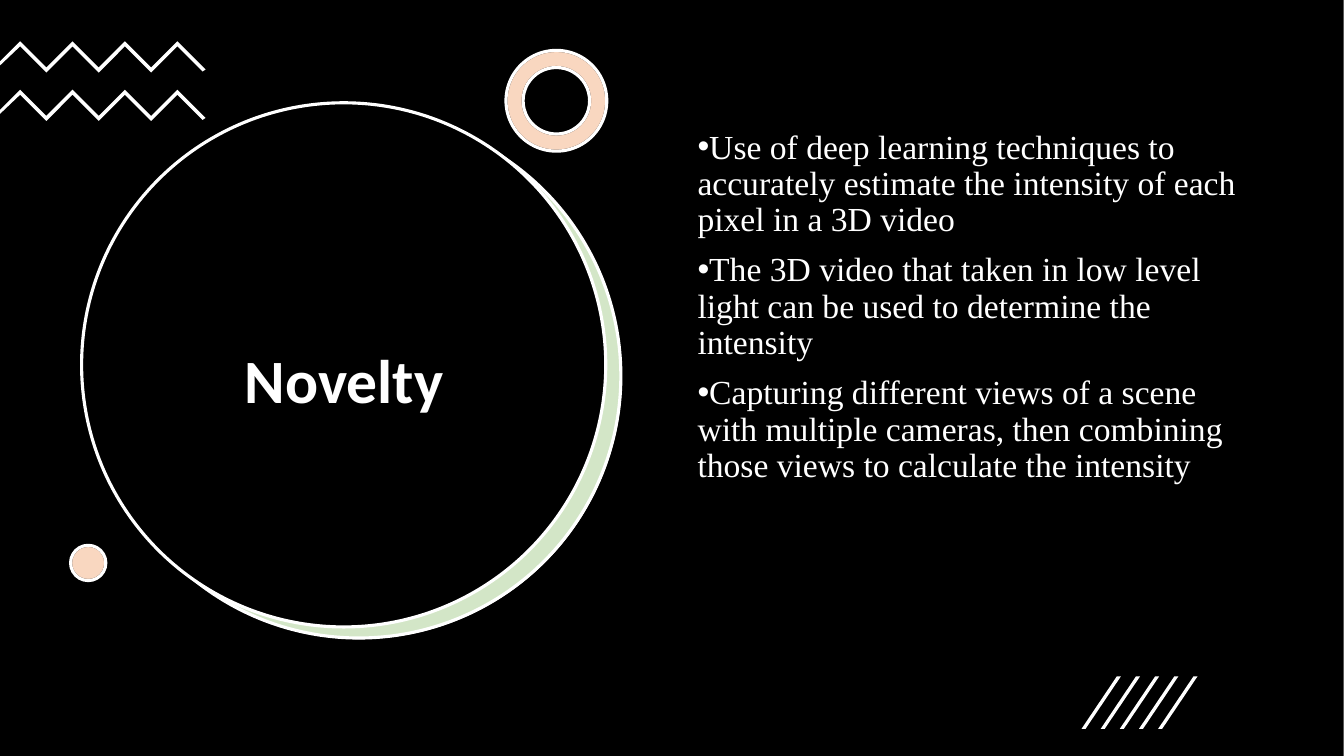
from lxml.etree import SubElement
from pptx import Presentation
from pptx.dml.color import RGBColor
from pptx.enum.shapes import MSO_SHAPE as Preset
from pptx.enum.text import MSO_ANCHOR as Anchor, MSO_AUTO_SIZE as AutoSize, PP_ALIGN as Align
from pptx.oxml.ns import qn
from pptx.util import Emu, Pt

PX = 9144  # 100 px to the inch
WHITE, BLACK, GREEN, ORANGE = "FFFFFF", "000000", "70AD47", "ED7D31"


def px(length):
    return Emu(length * PX)


def color(hex_string):
    return RGBColor.from_string(hex_string)


class NoveltySlide:
    heading_font, body_font = "Calibri", "Times New Roman"
    line_width = Pt(2.25)

    def __init__(self, presentation):
        self.slide = presentation.slides.add_slide(presentation.slide_layouts[0])

    def paint(self, shape, fill, line=None, alpha=None):
        shape.shadow.inherit = False
        shape.fill.solid()
        shape.fill.fore_color.rgb = color(fill)
        if alpha:
            tint = shape.element.spPr.find(qn("a:solidFill"))[0]
            SubElement(tint, qn("a:alpha"), val=str(alpha * 1000))
        if line:
            shape.line.color.rgb = color(line)
            shape.line.width = self.line_width
        else:
            shape.line.fill.background()

    def preset(self, kind, box, fill, line=None, alpha=None):
        shape = self.slide.shapes.add_shape(kind, *map(px, box))
        if kind == Preset.DONUT:
            shape.adjustments[0] = 0.17
        self.paint(shape, fill, line, alpha)

    def tinted(self, kind, box, tint):
        """A white backing under a translucent tint."""
        self.preset(kind, box, WHITE, BLACK)
        self.preset(kind, box, tint, WHITE, 30)

    def polygon(self, points):
        builder = self.slide.shapes.build_freeform(*points[0], scale=PX)
        builder.add_line_segments(points[1:], close=True)
        self.paint(builder.convert_to_shape(), WHITE)

    def zigzag(self, top):
        upper = [(20 + 26 * i, top + 26 * (i % 2)) for i in range(7)]
        lower = [(x, y + 5) for x, y in reversed(upper)]
        ends = [(204, top + 28), (201, top + 30)]
        self.polygon(upper + ends + lower + [(0, top + 24), (0, top + 20)])

    def slash(self, left):
        self.polygon([(left + 4, 723), (left, 723), (left + 35, 671), (left + 39, 671)])

    def text(self, placeholder, box, lines, font, size, align, anchor,
             bold=False, before=0, bullet=None):
        # Bring the placeholder in front of the shapes drawn so far
        placeholder.element.getparent().append(placeholder.element)
        placeholder.left, placeholder.top, placeholder.width, placeholder.height = map(px, box)
        frame = placeholder.text_frame
        frame.word_wrap, frame.auto_size = True, AutoSize.NONE
        frame.vertical_anchor = anchor
        for index, line in enumerate(lines):
            paragraph = frame.add_paragraph() if index else frame.paragraphs[0]
            paragraph.alignment, paragraph.line_spacing = align, 0.9
            paragraph.space_before = Pt(before)
            run = paragraph.add_run()
            run.text = line
            run.font.name, run.font.size, run.font.bold = font, Pt(size), bold
            run.font.color.rgb = color(WHITE)
            if bullet:
                properties = paragraph._p.get_or_add_pPr()
                properties.set("marL", "0")
                properties.set("indent", str(px(-25)))
                SubElement(properties, qn("a:buFont"), typeface="Arial")
                SubElement(properties, qn("a:buChar"), char=bullet)

    def title(self, box, line):
        self.text(self.slide.shapes.title, box, [line], self.heading_font, 44,
                  Align.CENTER, Anchor.MIDDLE, bold=True)

    def bullets(self, box, lines):
        self.text(self.slide.placeholders[1], box, lines, self.body_font, 24,
                  Align.LEFT, Anchor.TOP, before=10, bullet="•")


def main():
    presentation = Presentation()
    presentation.slide_width, presentation.slide_height = Emu(12192000), px(750)
    novelty = NoveltySlide(presentation)

    # Backdrop and large title circle
    novelty.preset(Preset.RECTANGLE, (0, 0, 1333, 750), BLACK)
    novelty.preset(Preset.OVAL, (97, 114, 520, 520), WHITE)
    novelty.preset(Preset.OVAL, (96, 113, 520, 520), GREEN, WHITE, 30)
    novelty.preset(Preset.OVAL, (81, 102, 520, 520), BLACK, WHITE)
    novelty.title((121, 205, 441, 352), "Novelty")

    # Zigzags, ring and dot
    for top in (41, 89):
        novelty.zigzag(top)
    novelty.tinted(Preset.DONUT, (502, 50, 100, 100), ORANGE)
    novelty.tinted(Preset.OVAL, (70, 541, 35, 35), ORANGE)

    # Bullet list
    novelty.bullets((682, 124, 571, 510), [
        "Use of deep learning techniques to accurately estimate the intensity of each pixel in a 3D video",
        "The 3D video that taken in low level light can be used to determine the intensity",
        "Capturing different views of a scene with multiple cameras, "
        "then combining those views to calculate the intensity",
    ])

    # Slashes at the bottom right
    for index in range(5):
        novelty.slash(1073 + 19 * index)

    presentation.save("out.pptx")


if __name__ == "__main__":
    main()
